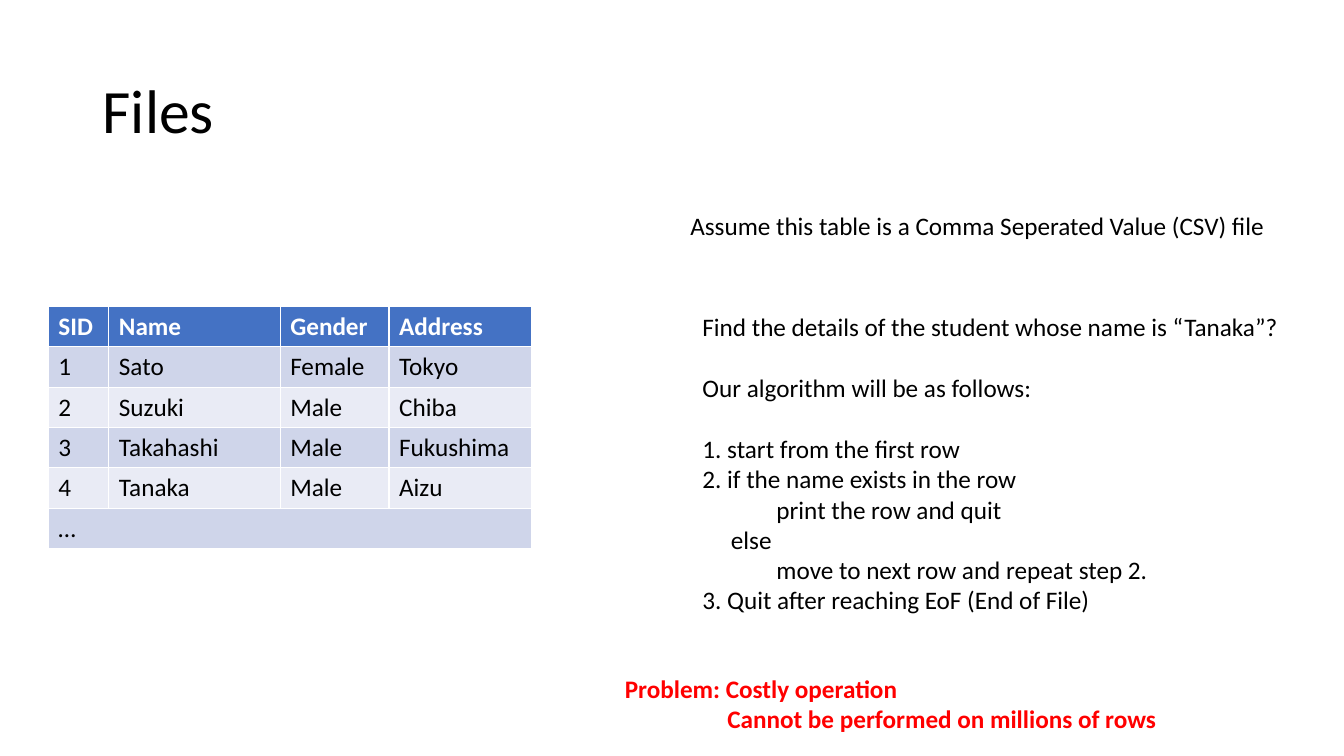
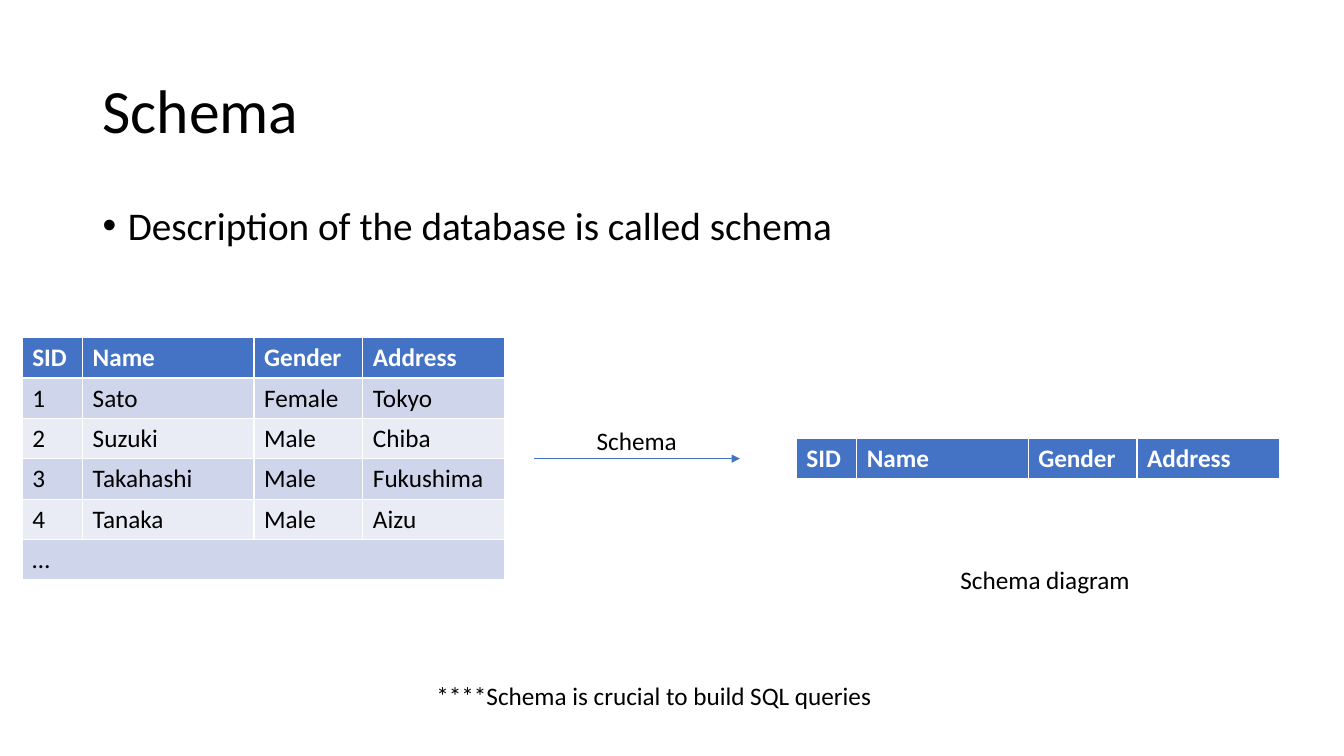
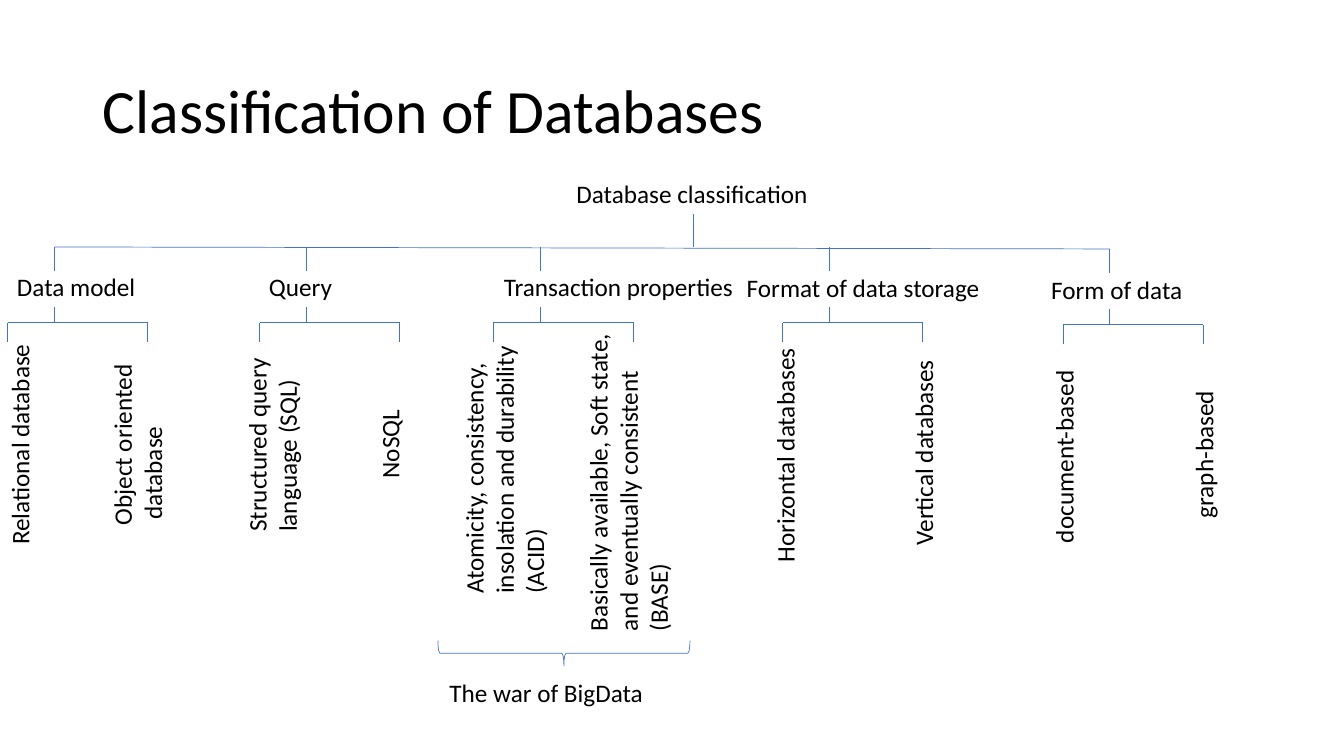
"""Build three slides on files, schemas and the classification of databases."""
from dataclasses import dataclass
from typing import Any, Optional, Sequence

from lxml.etree import SubElement
from pptx import Presentation
from pptx.dml.color import RGBColor
from pptx.enum.shapes import MSO_CONNECTOR, MSO_SHAPE
from pptx.enum.text import MSO_ANCHOR
from pptx.oxml.ns import qn
from pptx.shapes.autoshape import Shape
from pptx.shapes.connector import Connector
from pptx.slide import Slide
from pptx.util import Emu, Inches, Pt


@dataclass(frozen=True)
class Theme:
    """Colours, font and type sizes shared by the slides."""

    font: str = "Calibri"
    ink: str = "000000"
    paper: str = "FFFFFF"
    alert: str = "FF0000"
    accent: str = "4472C4"
    bands: tuple[str, str] = ("CFD5EA", "E9EBF5")
    title_size: float = 44
    body_size: float = 28
    text_size: float = 18
    blank_line: float = 22
    tight: float = 0.9
    line_width: float = 0.5


@dataclass(frozen=True)
class Grid:
    """Slide size and steps, counted in square cells."""

    cell: float = 0.1
    columns: float = 133.33
    rows: float = 75
    text_row: float = 3.05
    text_margin: float = 1
    table_row: float = 4


@dataclass(frozen=True)
class Box:
    """A rectangle in grid columns and rows."""

    left: float
    top: float
    width: float
    height: float = 4


@dataclass(frozen=True)
class Line:
    """One paragraph with its indent in columns and space before in points."""

    text: str
    indent: float = 0
    before: float = 0
    bullet: bool = False


@dataclass(frozen=True)
class TextStyle:
    """The look of all the text in one box."""

    size: float
    color: str
    bold: bool = False
    spacing: Optional[float] = None


@dataclass(frozen=True)
class Leaf:
    """A label turned upwards, placed by its centre."""

    x: float
    y: float
    length: float
    lines: tuple[Line, ...]
    wrap: bool = False
    wrapped_rows: int = 0


@dataclass(frozen=True)
class Branch:
    """A class of databases with its two kinds."""

    label: str
    stem: float
    label_box: Box
    leaves: tuple[Leaf, Leaf]
    drop: float = 0


THEME = Theme()
GRID = Grid()
TITLE_STYLE = TextStyle(THEME.title_size, THEME.ink, spacing=THEME.tight)
BODY_STYLE = TextStyle(THEME.body_size, THEME.ink, spacing=THEME.tight)
TEXT_STYLE = TextStyle(THEME.text_size, THEME.ink)
ALERT_STYLE = TextStyle(THEME.text_size, THEME.alert, bold=True)
HEADER_STYLE = TextStyle(THEME.text_size, THEME.paper, bold=True)

TITLE_BOX = Box(9.2, 4, 115, 14.5)
STUDENT_COLUMNS = (6, 17, 10.8, 14.1)
HEADER = ("SID", "Name", "Gender", "Address")
STUDENTS = (
    HEADER,
    ("1", "Sato", "Female", "Tokyo"),
    ("2", "Suzuki", "Male", "Chiba"),
    ("3", "Takahashi", "Male", "Fukushima"),
    ("4", "Tanaka", "Male", "Aizu"),
    ("…",),
)
ALGORITHM = (
    Line("Find the details of the student whose name is “Tanaka”?"),
    Line("Our algorithm will be as follows:", before=THEME.blank_line),
    Line("1. start from the first row", before=THEME.blank_line),
    Line("2. if the name exists in the row"),
    Line("print the row and quit", indent=7.35),
    Line("else", indent=2.83),
    Line("move to next row and repeat step 2.", indent=7.35),
    Line("3. Quit after reaching EoF (End of File)"),
)
PROBLEM = (
    Line("Problem: Costly operation"),
    Line("Cannot be performed on millions of rows", indent=10.17),
)

RAIL_TOP, RAIL_SLOPE = 24.5, 0.2
LABEL_TOP, STEM_TOP, FORK_TOP = 26.9, 30.5, 32
FORK_BOTTOM, FORK_WIDTH, FORK_OFFSET = 33.9, 13.9, 4.65
BRANCHES = (
    Branch("Data model", 5.4, Box(0.7, 26.4, 13.9), (
        Leaf(1.95, 44, 22.1, (Line("Relational database"),)),
        Leaf(13.65, 44.05, 18.1, (Line("Object oriented"), Line("database", indent=0.57))),
    )),
    Branch("Query", 30.4, Box(25.7, 26.4, 8.3), (
        Leaf(27, 44.05, 19.4, (Line("Structured query"), Line("language (SQL)"))),
        Leaf(38.65, 44, 8.9, (Line("NoSQL"),)),
    )),
    Branch("Transaction properties", 53.6, Box(49, 26.4, 25), (
        Leaf(50.05, 46.45, 26.9, (
            Line("Atomicity, consistency,"), Line("insolation and durability"), Line("(ACID)"))),
        Leaf(62.35, 47.05, 33.1, (
            Line("Basically available, Soft state, and eventually consistent"), Line("(BASE)")),
            wrap=True, wrapped_rows=1),
    )),
    Branch("Format of data storage", 82.3, Box(73.1, 26.5, 25.3), (
        Leaf(77.85, 45, 23.5, (Line("Horizontal databases"),)),
        Leaf(91.6, 44.8, 20.6, (Line("Vertical databases"),)),
    )),
    Branch("Form of data", 110.1, Box(103.3, 26.7, 15.2), (
        Leaf(105.55, 45.2, 19.3, (Line("document-based"),)),
        Leaf(119.4, 45, 14.8, (Line("graph-based"),)),
    ), drop=RAIL_SLOPE),
)


def cells(count: float) -> Emu:
    """Turn a number of grid cells into a length."""
    return Inches(count * GRID.cell)


def placed(box: Box) -> tuple[Emu, Emu, Emu, Emu]:
    """Give the position and size of a box as lengths."""
    return cells(box.left), cells(box.top), cells(box.width), cells(box.height)


def set_all(target: Any, values: dict[str, Any]) -> None:
    """Set every named attribute of an object."""
    for name, value in values.items():
        setattr(target, name, value)


def write(paragraph: Any, text: str, style: TextStyle) -> None:
    """Add one styled run to a paragraph."""
    run = paragraph.add_run()
    run.text = text
    set_all(run.font, {"name": THEME.font, "size": Pt(style.size), "bold": style.bold})
    run.font.color.rgb = RGBColor.from_string(style.color)


def add_bullet(properties: Any, hanging: float) -> None:
    """Give a paragraph a round bullet with a hanging indent."""
    properties.set("marL", str(cells(hanging)))
    properties.set("indent", str(-cells(hanging)))
    SubElement(properties, qn("a:buFont")).set("typeface", "Arial")
    SubElement(properties, qn("a:buChar")).set("char", "•")


def add_text(slide: Slide, box: Box, lines: Sequence[Line], style: TextStyle = TEXT_STYLE,
             wrap: bool = False, anchor: MSO_ANCHOR = MSO_ANCHOR.TOP) -> Shape:
    """Add a text box with one paragraph for each line."""
    shape = slide.shapes.add_textbox(*placed(box))
    frame = shape.text_frame
    set_all(frame, {"word_wrap": wrap, "vertical_anchor": anchor})
    for index, line in enumerate(lines):
        paragraph = frame.add_paragraph() if index else frame.paragraphs[0]
        properties = paragraph._p.get_or_add_pPr()
        if line.bullet:
            add_bullet(properties, line.indent)
        elif line.indent:
            properties.set("marL", str(cells(line.indent)))
        if line.before:
            paragraph.space_before = Pt(line.before)
        if style.spacing:
            paragraph.line_spacing = style.spacing
        write(paragraph, line.text, style)
    return shape


def add_line(slide: Slide, start: tuple[float, float], end: tuple[float, float],
             arrow: bool = False) -> Connector:
    """Add a thin straight line, with an arrowhead at its end if wanted."""
    connector = slide.shapes.add_connector(
        MSO_CONNECTOR.STRAIGHT, *(cells(value) for value in (*start, *end)))
    connector.line.width = Pt(THEME.line_width)
    connector.line.color.rgb = RGBColor.from_string(THEME.accent)
    properties = connector._element.spPr
    if arrow:
        SubElement(properties.find(qn("a:ln")), qn("a:tailEnd")).set("type", "triangle")
    SubElement(properties, qn("a:effectLst"))
    return connector


def add_student_table(slide: Slide, left: float, top: float,
                      rows: Sequence[Sequence[str]]) -> None:
    """Add a banded table; a row with a single text spans all columns."""
    box = Box(left, top, sum(STUDENT_COLUMNS), GRID.table_row * len(rows))
    table = slide.shapes.add_table(len(rows), len(STUDENT_COLUMNS), *placed(box)).table
    for column, width in zip(table.columns, STUDENT_COLUMNS):
        column.width = cells(width)
    for row_index, texts in enumerate(rows):
        style = TEXT_STYLE if row_index else HEADER_STYLE
        fill = THEME.bands[(row_index - 1) % 2] if row_index else THEME.accent
        for column_index in range(len(STUDENT_COLUMNS)):
            cell = table.cell(row_index, column_index)
            cell.fill.solid()
            cell.fill.fore_color.rgb = RGBColor.from_string(fill)
            if column_index < len(texts):
                write(cell.text_frame.paragraphs[0], texts[column_index], style)
        if len(texts) == 1:
            table.cell(row_index, 0).merge(table.cell(row_index, len(STUDENT_COLUMNS) - 1))


def add_slide(presentation: Any, title: str) -> Slide:
    """Add a blank slide with its title."""
    slide = presentation.slides.add_slide(presentation.slide_layouts[6])
    add_text(slide, TITLE_BOX, [Line(title)], TITLE_STYLE, wrap=True, anchor=MSO_ANCHOR.MIDDLE)
    return slide


def add_leaf(slide: Slide, leaf: Leaf) -> None:
    """Add a label that reads upwards."""
    height = GRID.text_margin + GRID.text_row * (len(leaf.lines) + leaf.wrapped_rows)
    box = Box(leaf.x - leaf.length / 2, leaf.y - height / 2, leaf.length, height)
    add_text(slide, box, leaf.lines, wrap=leaf.wrap).rotation = 270


def add_branch(slide: Slide, branch: Branch) -> None:
    """Add a class with its stem, fork and two kinds."""
    left = branch.stem - FORK_OFFSET
    right = left + FORK_WIDTH
    segments = (
        (branch.stem, RAIL_TOP, branch.stem, LABEL_TOP),
        (branch.stem, STEM_TOP, branch.stem, FORK_TOP),
        (left, FORK_TOP, right, FORK_TOP),
        (left, FORK_TOP, left, FORK_BOTTOM),
        (right, FORK_TOP, right, FORK_BOTTOM),
    )
    for x1, y1, x2, y2 in segments:
        add_line(slide, (x1, y1 + branch.drop), (x2, y2 + branch.drop))
    add_text(slide, branch.label_box, [Line(branch.label)])
    for leaf in branch.leaves:
        add_leaf(slide, leaf)


def add_brace(slide: Slide, box: Box) -> None:
    """Add a brace that points down."""
    brace = slide.shapes.add_shape(MSO_SHAPE.LEFT_BRACE, *placed(box))
    brace.rotation = 270
    brace.shadow.inherit = False
    brace.fill.background()
    brace.line.width = Pt(THEME.line_width)
    brace.line.color.rgb = RGBColor.from_string(THEME.accent)


def build_files(presentation: Any) -> None:
    """Build the slide on searching a file."""
    slide = add_slide(presentation, "Files")
    add_student_table(slide, 4.8, 30.4, STUDENTS)
    add_text(slide, Box(67.5, 20.4, 59.6),
             [Line("Assume this table is a Comma Seperated Value (CSV) file")])
    add_text(slide, Box(68.7, 30.4, 59.6, 31.3), ALGORITHM, wrap=True)
    add_text(slide, Box(61, 66.3, 55.3, 7.1), PROBLEM, ALERT_STYLE)


def build_schema(presentation: Any) -> None:
    """Build the slide that derives a schema from a table."""
    slide = add_slide(presentation, "Schema")
    add_text(slide, Box(9.2, 20, 115, 47.6),
             [Line("Description of the database is called schema", indent=2.5, bullet=True)],
             BODY_STYLE, wrap=True)
    add_student_table(slide, 2.2, 33.5, STUDENTS)
    add_student_table(slide, 79, 43.5, [HEADER])
    add_line(slide, (53, 45.5), (73.4, 45.5), arrow=True)
    for text, box in (
        ("Schema", Box(58.2, 41.7, 10.1)),
        ("Schema diagram", Box(94.3, 55.5, 19)),
        ("****Schema is crucial to build SQL queries", Box(42.3, 67, 45.7)),
    ):
        add_text(slide, box, [Line(text)])


def build_classification(presentation: Any) -> None:
    """Build the tree of database classes."""
    slide = add_slide(presentation, "Classification of Databases")
    root_box = Box(56.2, 17.2, 25.2)
    root = add_text(slide, root_box, [Line("Database classification")])
    middle = root_box.left + root_box.width / 2
    add_line(slide, (BRANCHES[0].stem, RAIL_TOP), (BRANCHES[-1].stem, RAIL_TOP + RAIL_SLOPE))
    trunk = add_line(slide, (middle, root_box.top + root_box.height), (middle, RAIL_TOP))
    trunk.begin_connect(root, 2)
    for branch in BRANCHES:
        add_branch(slide, branch)
    add_brace(slide, Box(54.7, 52.3, 2.5, 25))
    add_text(slide, Box(43.6, 66.7, 21.4), [Line("The war of BigData")])


def main() -> None:
    """Build and save the presentation."""
    presentation = Presentation()
    set_all(presentation, {"slide_width": cells(GRID.columns), "slide_height": cells(GRID.rows)})
    for build in (build_files, build_schema, build_classification):
        build(presentation)
    presentation.save("out.pptx")


if __name__ == "__main__":
    main()
